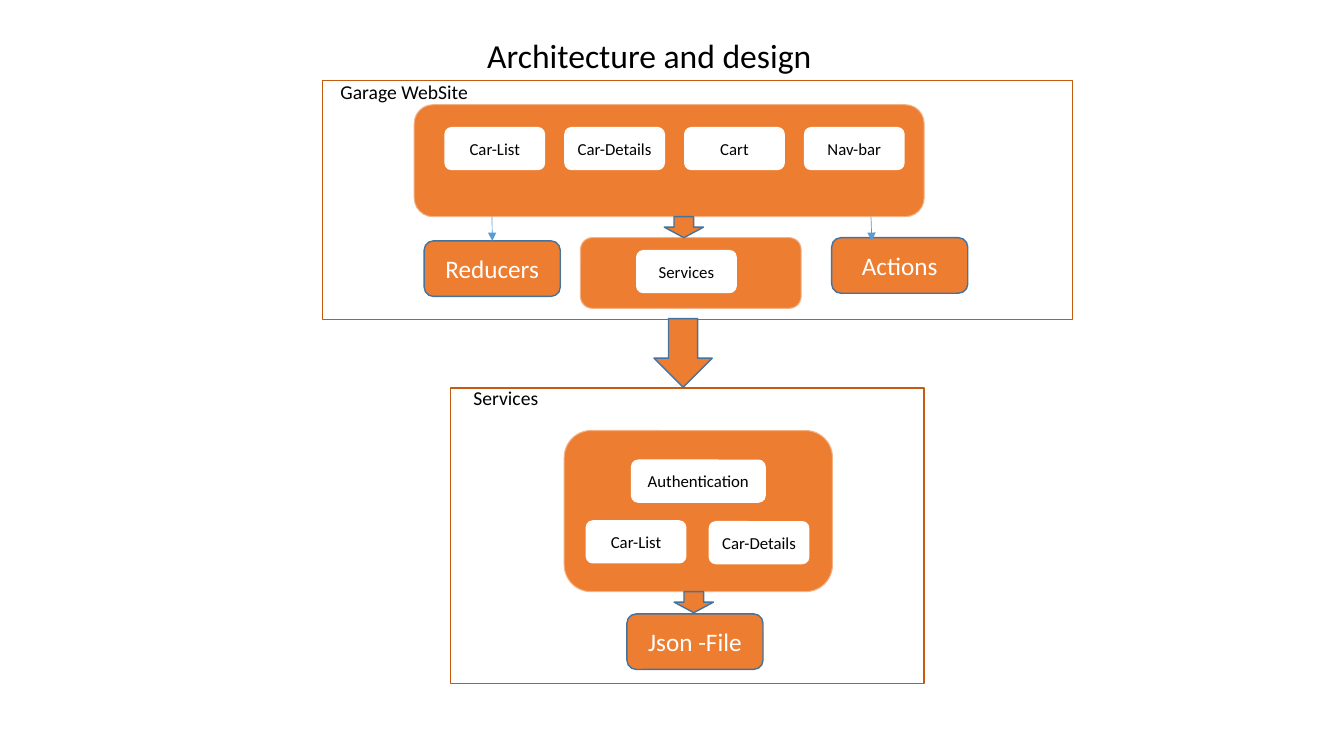
from dataclasses import dataclass

import pptx
import pptx.dml.color
import pptx.enum.shapes
import pptx.enum.text
import pptx.oxml
import pptx.oxml.ns
import pptx.util
from pptx.util import Cm

COLORS = {
    "white": "FFFFFF",
    "black": "000000",
    "orange": "ED7D31",
    "pale_orange": "F4B183",
    "dark_orange": "C55A11",
    "dark_blue": "43739E",
    "blue": "5B9BD5",
}
FONT = "Calibri"
SHAPE = pptx.enum.shapes.MSO_SHAPE
ALIGN = pptx.enum.text.PP_ALIGN
ANCHOR = pptx.enum.text.MSO_ANCHOR


@dataclass(frozen=True)
class Style:
    shape: int
    fill: str
    line: str = ""
    line_pt: float = 1
    text_pt: float = 12
    text_color: str = "black"


FRAME = Style(SHAPE.RECTANGLE, "white", "dark_orange")
PANEL = Style(SHAPE.ROUNDED_RECTANGLE, "orange", "pale_orange", 0.75)
CHIP = Style(SHAPE.ROUNDED_RECTANGLE, "white")
NODE = Style(SHAPE.ROUNDED_RECTANGLE, "orange", "dark_blue", 1, 18, "white")
ARROW = Style(SHAPE.DOWN_ARROW, "orange", "dark_blue")


@dataclass(frozen=True)
class Box:
    style: Style
    x: float
    y: float
    w: float
    h: float
    text: str = ""


@dataclass(frozen=True)
class Label:
    text: str
    x: float
    y: float
    w: float
    h: float
    size: float = 14
    align: int = ALIGN.LEFT
    anchor: int = ANCHOR.TOP


def chip(x: float, y: float, text: str, w: float = 2.54) -> Box:
    return Box(CHIP, x, y, w, 1.09, text)


def node(x: float, y: float, text: str) -> Box:
    return Box(NODE, x, y, 3.43, 1.4, text)


def small_arrow(x: float, y: float) -> Box:
    return Box(ARROW, x, y, 0.99, 0.53)


def rgb(name: str) -> pptx.dml.color.RGBColor:
    return pptx.dml.color.RGBColor.from_string(COLORS[name])


def set_text(tf, text: str, size: float, color: str, align: int, anchor: int) -> None:
    tf.word_wrap = True
    tf.vertical_anchor = anchor
    p = tf.paragraphs[0]
    p.text = text
    p.alignment = align
    for r in p.runs:
        r.font.name = FONT
        r.font.size = pptx.util.Pt(size)
        r.font.color.rgb = rgb(color)


def draw_box(s, box: Box):
    style = box.style
    sp = s.shapes.add_shape(style.shape, Cm(box.x), Cm(box.y), Cm(box.w), Cm(box.h))
    sp.shadow.inherit = False
    sp.fill.solid()
    sp.fill.fore_color.rgb = rgb(style.fill)
    if style.line:
        sp.line.color.rgb = rgb(style.line)
        sp.line.width = pptx.util.Pt(style.line_pt)
    else:
        sp.line.fill.background()
    if box.text:
        set_text(sp.text_frame, box.text, style.text_pt, style.text_color,
                 ALIGN.CENTER, ANCHOR.MIDDLE)
    return sp


def draw_label(s, label: Label) -> None:
    sp = s.shapes.add_textbox(Cm(label.x), Cm(label.y), Cm(label.w), Cm(label.h))
    set_text(sp.text_frame, label.text, label.size, "black", label.align, label.anchor)
    if label.size > 14:
        sp.text_frame.paragraphs[0].line_spacing = 0.9


def draw_link(s, x1: float, y1: float, x2: float, y2: float):
    cxn = s.shapes.add_connector(pptx.enum.shapes.MSO_CONNECTOR.STRAIGHT,
                                 Cm(x1), Cm(y1), Cm(x2), Cm(y2))
    cxn.line.color.rgb = rgb("blue")
    cxn.line.width = pptx.util.Pt(0.5)
    ns = pptx.oxml.ns.nsdecls("a")
    cxn.line._get_or_add_ln().append(
        pptx.oxml.parse_xml(f'<a:tailEnd {ns} type="triangle"/>'))
    cxn._element.spPr.append(pptx.oxml.parse_xml(f"<a:effectLst {ns}/>"))
    return cxn


# Frames, panels and nodes, back to front
REDUCERS = node(10.69, 6.07, "Reducers")
COMPONENTS = ["Car-List", "Car-Details", "Cart", "Nav-bar"]
BOXES = [
    Box(FRAME, 8.13, 2.03, 18.9, 6.02),
    Box(FRAME, 11.35, 9.78, 11.94, 7.44),
    Box(ARROW, 16.48, 8.03, 1.47, 1.73),
    # Back-end services
    Box(PANEL, 14.22, 10.85, 6.76, 4.06),
    chip(14.76, 13.11, "Car-List"),
    chip(17.86, 13.13, "Car-Details"),
    chip(15.9, 11.58, "Authentication", 3.4),
    # Website components
    Box(PANEL, 10.44, 2.64, 12.85, 2.82),
    *[chip(11.2 + 3.02 * i, 3.2, text) for i, text in enumerate(COMPONENTS)],
    # Website services
    Box(PANEL, 14.63, 5.99, 5.56, 1.78),
    chip(16.03, 6.3, "Services"),
    small_arrow(16.74, 5.46),
    node(20.96, 5.99, "Actions"),
    REDUCERS,
    # Data file
    node(15.8, 15.47, "Json -File"),
    small_arrow(16.99, 14.91),
]
LABELS = [
    Label("Architecture and design ", 3.76, 0.81, 25.4, 1.22, 24,
          ALIGN.CENTER, ANCHOR.BOTTOM),
    Label("Services", 11.68, 9.6, 4.29, 0.86),
    Label("Garage WebSite", 8.33, 1.88, 4.29, 0.86),
]


def main() -> None:
    prs = pptx.Presentation()
    prs.slide_width, prs.slide_height = Cm(33.87), Cm(19.05)
    s = prs.slides.add_slide(prs.slide_layouts[6])

    shapes = {box: draw_box(s, box) for box in BOXES}

    # Links from the components panel
    link = draw_link(s, 12.4, 5.46, 12.4, 6.07)
    link.end_connect(shapes[REDUCERS], 0)
    draw_link(s, 21.95, 5.46, 21.97, 6.07)

    for label in LABELS:
        draw_label(s, label)

    prs.save("out.pptx")


if __name__ == "__main__":
    main()
